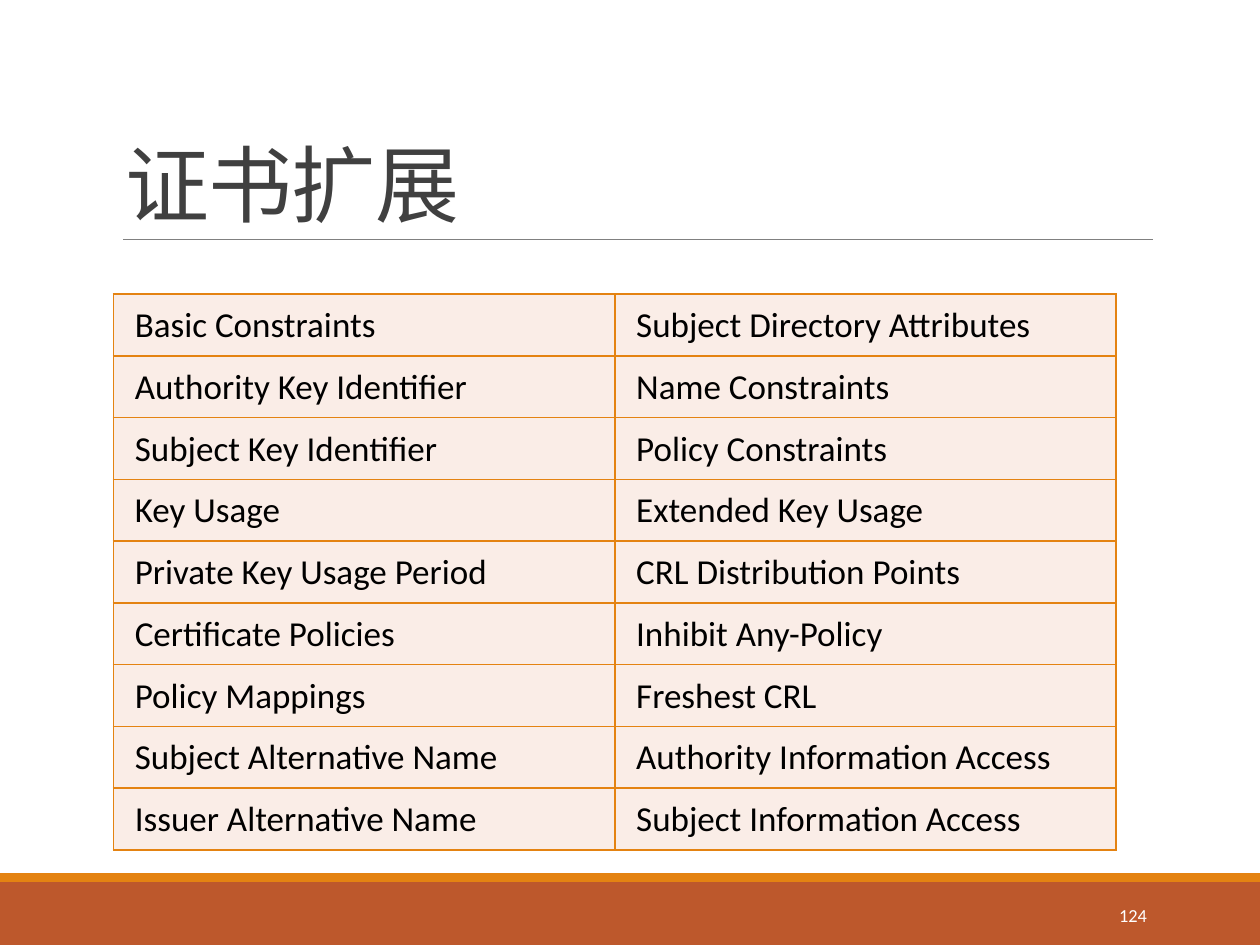
from lxml import etree
from pptx import Presentation
from pptx.dml.color import RGBColor
from pptx.enum.shapes import MSO_CONNECTOR, MSO_SHAPE
from pptx.enum.text import MSO_ANCHOR, PP_ALIGN
from pptx.oxml import parse_xml
from pptx.oxml.ns import nsdecls, qn
from pptx.util import Pt

RECT = MSO_SHAPE.RECTANGLE
LINE = MSO_CONNECTOR.STRAIGHT
MIDDLE, BOTTOM = MSO_ANCHOR.MIDDLE, MSO_ANCHOR.BOTTOM
RIGHT = PP_ALIGN.RIGHT

RUST = RGBColor(0xBD, 0x58, 0x2C)
ORANGE = RGBColor(0xE4, 0x83, 0x12)
GRAY = RGBColor(0x80, 0x80, 0x80)
DARK = RGBColor(0x40, 0x40, 0x40)
PINK = RGBColor(0xFA, 0xED, 0xE7)
BLACK = RGBColor(0, 0, 0)
WHITE = RGBColor(0xFF, 0xFF, 0xFF)

ROWS = [
    ("Basic Constraints", "Subject Directory Attributes"),
    ("Authority Key Identifier", "Name Constraints"),
    ("Subject Key Identifier", "Policy Constraints"),
    ("Key Usage", "Extended Key Usage"),
    ("Private Key Usage Period", "CRL Distribution Points"),
    ("Certificate Policies", "Inhibit Any-Policy"),
    ("Policy Mappings", "Freshest CRL"),
    ("Subject Alternative Name", "Authority Information Access"),
    ("Issuer Alternative Name", "Subject Information Access"),
]


def write(frame, text, size, color):
    frame.text = text
    par = frame.paragraphs[0]
    font = par.runs[0].font
    font.name, font.size = "Calibri", Pt(size)
    font.color.rgb = color
    return par


def border(cell):
    props = cell._tc.get_or_add_tcPr()
    for i, side in enumerate(("lnL", "lnR", "lnT", "lnB")):
        props.insert(i, parse_xml(
            f'<a:{side} {nsdecls("a")} w="{Pt(1)}"><a:solidFill>'
            f'<a:srgbClr val="{ORANGE}"/></a:solidFill></a:{side}>'))


prs = Presentation()
prs.slide_width, prs.slide_height = Pt(720), Pt(540)
slide = prs.slides.add_slide(prs.slide_layouts[6])
shapes = slide.shapes

# Footer bands
for top, height, color in ((504, 36, RUST), (499, 5, ORANGE)):
    band = shapes.add_shape(RECT, Pt(0), Pt(top), Pt(720), Pt(height))
    band.shadow.inherit = False
    band.fill.solid()
    band.fill.fore_color.rgb = color
    band.line.fill.background()

# Rule under the title
rule = shapes.add_connector(LINE, Pt(70.5), Pt(136.8), Pt(659), Pt(136.8))
rule.line.color.rgb = GRAY
rule.line.width = Pt(0.5)
etree.SubElement(rule._element.spPr, qn("a:effectLst"))

# Title
title = shapes.add_textbox(Pt(64.8), Pt(22.5), Pt(594), Pt(114.3)).text_frame
title.word_wrap = True
title.vertical_anchor = BOTTOM
par = write(title, "证书扩展", 48, DARK)
par.line_spacing = 0.85
par.runs[0].font._element.set("spc", "-50")

# Table of extensions
table = shapes.add_table(len(ROWS), 2, Pt(64.8), Pt(168),
                         Pt(573), Pt(317.7)).table
table.first_row = table.horz_banding = False
for col in table.columns:
    col.width = Pt(286.5)
for r, row in enumerate(ROWS):
    table.rows[r].height = Pt(35.3)
    for c, text in enumerate(row):
        cell = table.cell(r, c)
        cell.margin_left = cell.margin_right = cell.margin_top = Pt(0.75)
        cell.margin_bottom = Pt(0)
        cell.vertical_anchor = MIDDLE
        cell.fill.solid()
        cell.fill.fore_color.rgb = PINK
        border(cell)
        par = write(cell.text_frame, text, 20, BLACK)
        par._p.get_or_add_pPr().set("indent", str(Pt(11.5)))

# Page number
page = shapes.add_textbox(Pt(584.6), Pt(508.5), Pt(77.8), Pt(28.8)).text_frame
page.word_wrap = True
page.vertical_anchor = MIDDLE
write(page, "124", 10.5, WHITE).alignment = RIGHT

prs.save("out.pptx")
